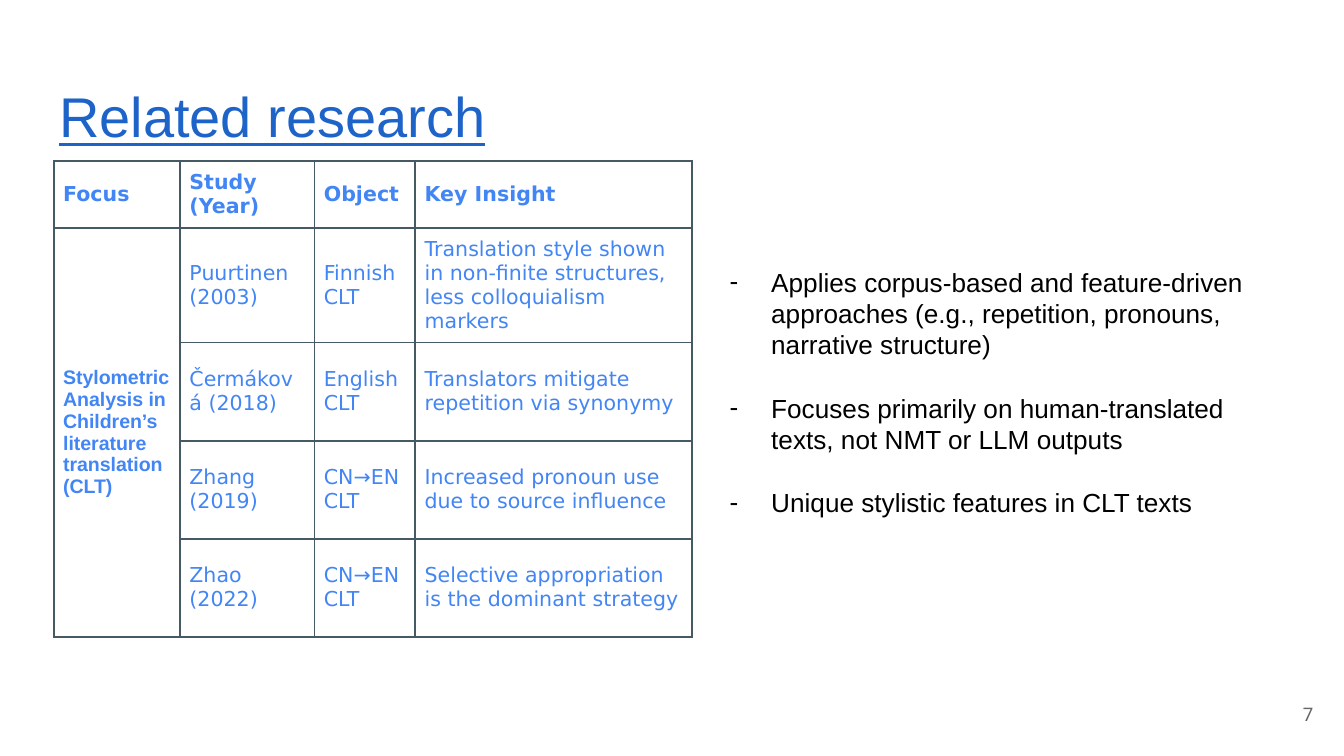
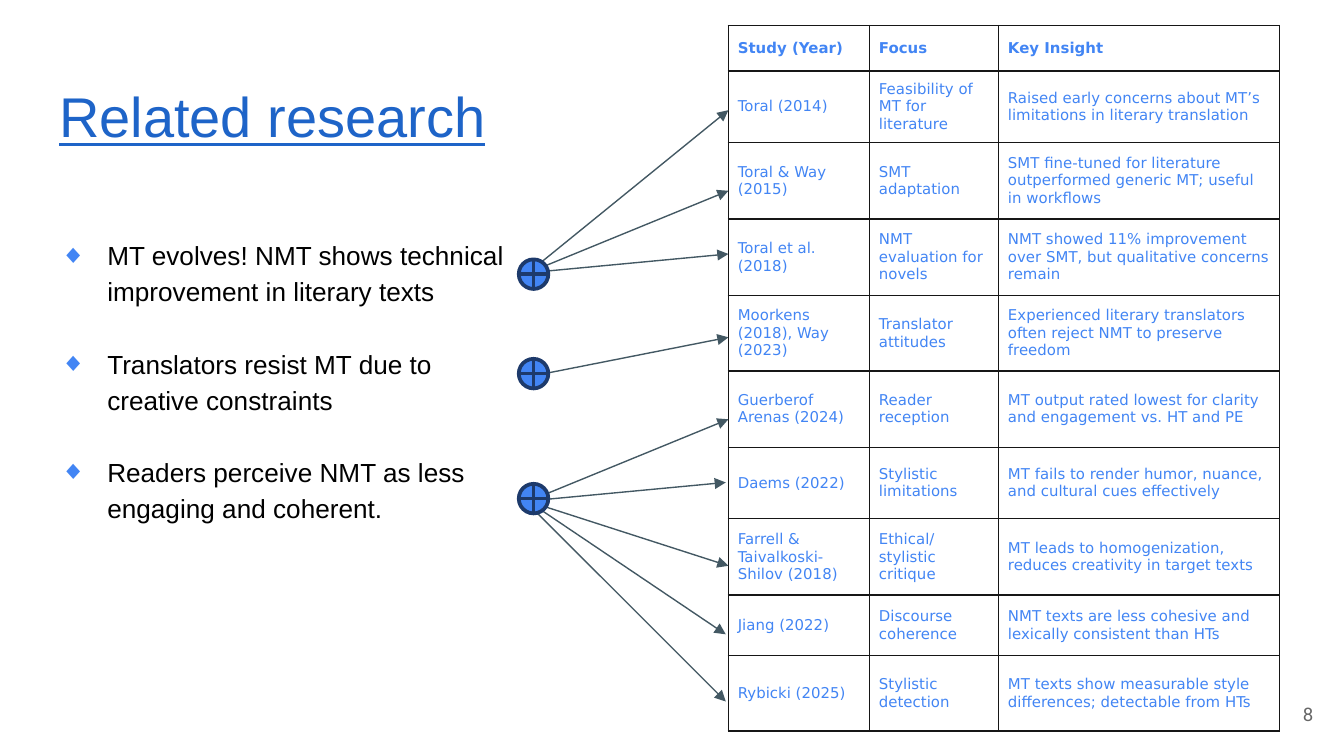
from dataclasses import dataclass

import pptx
import pptx.dml.color
import pptx.enum.shapes
import pptx.enum.text
import pptx.oxml
import pptx.oxml.ns
import pptx.util
from pptx.util import Inches

COLORS = {
    "title": "1E64C8", "accent": "4285F4", "text": "000000", "page": "666666",
    "grid": "455A64", "dark_grid": "161616", "arrow": "435863", "hub_line": "1D3A6B",
}
BODY, TABLE, PAGE = "Arial", "DejaVu Sans", "Roboto"
ALIGN = pptx.enum.text.PP_ALIGN
ANCHOR = pptx.enum.text.MSO_ANCHOR
HUB_LEFT, HUB_SIZE = 3.86, 0.22


@dataclass
class Grid:
    left: float
    top: float
    cols: list[float]
    rows: list[float]
    size: float
    border: str
    cells: list[list[str]]


@dataclass
class Bullets:
    box: tuple[float, float, float, float]
    char: str
    char_color: str
    margin: float
    hanging: float
    gap: float
    spacing: float
    inset_y: float
    items: list[str]


@dataclass
class Hub:
    top: float
    start_y: float
    arrows: list[tuple[float, float, float]]  # start x, end x, end y


STYLOMETRY = Grid(0.4, 1.2, [0.94, 1, 0.75, 2.06], [0.47] + [0.73] * 4, 11, "grid", [
    ["Focus", "Study (Year)", "Object", "Key Insight"],
    ["Stylometric Analysis in Children’s literature translation (CLT)",
     "Puurtinen (2003)", "Finnish CLT",
     "Translation style shown in non-finite structures, less colloquialism markers"],
    ["", "Čermáková (2018)", "English CLT", "Translators mitigate repetition via synonymy"],
    ["", "Zhang (2019)", "CN→EN  CLT", "Increased pronoun use due to source influence"],
    ["", "Zhao (2022)", "CN→EN CLT", "Selective appropriation is the dominant strategy"],
])

MT_STUDIES = Grid(
    5.42, 0.19, [1.05, 0.96, 2.09],
    [0.34, 0.53, 0.57, 0.57, 0.56, 0.57, 0.53, 0.57, 0.45, 0.56], 8, "dark_grid", [
        ["Study (Year)", "Focus", "Key Insight"],
        ["Toral (2014)", "Feasibility of MT for literature",
         "Raised early concerns about MT’s limitations in literary translation"],
        ["Toral & Way (2015)", "SMT adaptation",
         "SMT fine-tuned for literature outperformed generic MT; useful in workflows"],
        ["Toral et al. (2018)", "NMT evaluation for novels",
         "NMT showed 11% improvement over SMT, but qualitative concerns remain"],
        ["Moorkens (2018), Way (2023)", "Translator attitudes",
         "Experienced literary translators often reject NMT to preserve freedom"],
        ["Guerberof Arenas (2024)", "Reader reception",
         "MT output rated lowest for clarity and engagement vs. HT and PE"],
        ["Daems (2022)", "Stylistic limitations",
         "MT fails to render humor, nuance, and cultural cues effectively"],
        ["Farrell & Taivalkoski-Shilov (2018)", "Ethical/stylistic critique",
         "MT leads to homogenization, reduces creativity in target texts"],
        ["Jiang (2022)", "Discourse coherence",
         "NMT texts are less cohesive and lexically consistent than HTs"],
        ["Rybicki (2025)", "Stylistic detection",
         "MT texts show measurable style differences; detectable from HTs"],
    ])

FEATURES = Bullets((5.33, 1.93, 4.28, 1.99), "-", "text", 0.31, 0.31, 17, 1, 0.05, [
    "Applies corpus-based and feature-driven approaches "
    "(e.g., repetition, pronouns, narrative structure)",
    "Focuses primarily on human-translated texts, not NMT or LLM outputs",
    "Unique stylistic features in CLT texts",
])

FINDINGS = Bullets((0.2, 1.65, 3.7, 2.56), "◆", "accent", 0.5, 0.35, 19.3, 1.15, 0.1, [
    "MT evolves! NMT shows technical improvement in literary texts",
    "Translators resist MT due to creative constraints",
    "Readers perceive NMT as less engaging and coherent.",
])

HUBS = [
    Hub(1.93, 2.03, [(3.93, 5.42, 0.82), (3.93, 5.42, 1.42), (3.93, 5.42, 1.89)]),
    Hub(2.67, 2.81, [(3.9, 5.42, 2.51)]),
    Hub(3.6, 3.73, [(3.93, 5.42, 3.12), (3.91, 5.4, 3.59), (3.93, 5.42, 4.21),
                    (3.93, 5.4, 4.72), (3.91, 5.4, 5.22)]),
]


def rgb(name: str) -> pptx.dml.color.RGBColor:
    return pptx.dml.color.RGBColor.from_string(COLORS[name])


def put_text(p, text: str, *, size: float, color: str, font: str = BODY,
             bold: bool = False, underline: bool = False, align=ALIGN.LEFT) -> None:
    p.alignment = align
    r = p.add_run()
    r.text = text
    f = r.font
    f.name, f.size, f.bold, f.underline = font, pptx.util.Pt(size), bold, underline
    f.color.rgb = rgb(color)


def set_frame(tf, anchor, x: float = 0.1, y: float = 0.1) -> None:
    tf.word_wrap = True
    tf.auto_size = pptx.enum.text.MSO_AUTO_SIZE.NONE
    tf.vertical_anchor = anchor
    tf.margin_left = tf.margin_right = Inches(x)
    tf.margin_top = tf.margin_bottom = Inches(y)


def add_text_frame(s, box: tuple[float, float, float, float], anchor, y: float = 0.1):
    tf = s.shapes.add_textbox(*map(Inches, box)).text_frame
    set_frame(tf, anchor, y=y)
    return tf


def add_slide(prs, number: int):
    """Add a slide with the shared title and page number."""
    s = prs.slides.add_slide(prs.slide_layouts[5])
    title = s.shapes.title
    title.left, title.top, title.width, title.height = map(Inches, (0.34, 0.51, 9.32, 0.63))
    set_frame(title.text_frame, ANCHOR.TOP)
    put_text(title.text_frame.paragraphs[0], "Related research",
             size=30, color="title", underline=True)
    tf = add_text_frame(s, (9.27, 5.1, 0.6, 0.43), ANCHOR.MIDDLE)
    put_text(tf.paragraphs[0], str(number), size=10, color="page", font=PAGE,
             align=ALIGN.RIGHT)
    return s


def set_borders(cell, color: str) -> None:
    tcPr = cell._tc.get_or_add_tcPr()
    for side in ("lnL", "lnR", "lnT", "lnB"):
        tcPr.append(pptx.oxml.parse_xml(
            f'<a:{side} {pptx.oxml.ns.nsdecls("a")} w="12700"><a:solidFill>'
            f'<a:srgbClr val="{COLORS[color]}"/></a:solidFill></a:{side}>'))


def add_grid(s, grid: Grid, justified_col: int | None = None):
    tbl = s.shapes.add_table(
        len(grid.rows), len(grid.cols), Inches(grid.left), Inches(grid.top),
        Inches(sum(grid.cols)), Inches(sum(grid.rows))).table
    tbl.first_row = tbl.horz_banding = False
    for col, width in zip(tbl.columns, grid.cols):
        col.width = Inches(width)
    for i, (row, height) in enumerate(zip(tbl.rows, grid.rows)):
        row.height = Inches(height)
        for j, (cell, text) in enumerate(zip(row.cells, grid.cells[i])):
            set_borders(cell, grid.border)
            cell.fill.background()
            cell.vertical_anchor = ANCHOR.MIDDLE
            cell.margin_left = cell.margin_right = Inches(0.07)
            cell.margin_top = cell.margin_bottom = Inches(0.07)
            if text:
                justify = i > 0 and j == justified_col
                put_text(cell.text_frame.paragraphs[0], text, size=grid.size,
                         color="accent", font=TABLE, bold=i == 0,
                         align=ALIGN.JUSTIFY if justify else ALIGN.LEFT)
    return tbl


def add_bullets(s, bullets: Bullets) -> None:
    tf = add_text_frame(s, bullets.box, ANCHOR.TOP, bullets.inset_y)
    ns = pptx.oxml.ns.nsdecls("a")
    for i, item in enumerate(bullets.items):
        p = tf.add_paragraph() if i else tf.paragraphs[0]
        p.line_spacing = bullets.spacing
        p.space_before = pptx.util.Pt(bullets.gap if i else 0)
        pPr = p._p.get_or_add_pPr()
        pPr.set("marL", str(Inches(bullets.margin)))
        pPr.set("indent", str(-Inches(bullets.hanging)))
        for xml in (
            f'<a:buClr {ns}><a:srgbClr val="{COLORS[bullets.char_color]}"/></a:buClr>',
            f'<a:buFont {ns} typeface="{BODY}"/>',
            f'<a:buChar {ns} char="{bullets.char}"/>',
        ):
            pPr.append(pptx.oxml.parse_xml(xml))
        put_text(p, item, size=14, color="text")


def add_arrow(s, x1: float, y1: float, x2: float, y2: float) -> None:
    c = s.shapes.add_connector(pptx.enum.shapes.MSO_CONNECTOR.STRAIGHT,
                               *map(Inches, (x1, y1, x2, y2)))
    c.line.color.rgb = rgb("arrow")
    c.line.width = pptx.util.Pt(0.75)
    ns = pptx.oxml.ns.nsdecls("a")
    c.line._get_or_add_ln().append(pptx.oxml.parse_xml(f'<a:tailEnd {ns} type="triangle"/>'))
    c._element.spPr.append(pptx.oxml.parse_xml(f"<a:effectLst {ns}/>"))


def add_hub(s, hub: Hub) -> None:
    sp = s.shapes.add_shape(
        pptx.enum.shapes.MSO_SHAPE.FLOWCHART_OR, Inches(HUB_LEFT), Inches(hub.top),
        Inches(HUB_SIZE), Inches(HUB_SIZE))
    sp.shadow.inherit = False
    sp.fill.solid()
    sp.fill.fore_color.rgb = rgb("accent")
    sp.line.color.rgb = rgb("hub_line")
    sp.line.width = pptx.util.Pt(2)


def main() -> None:
    prs = pptx.Presentation()
    prs.slide_width, prs.slide_height = Inches(10), Inches(10 * 9 / 16)

    s = add_slide(prs, 7)
    tbl = add_grid(s, STYLOMETRY, justified_col=1)
    focus = tbl.cell(1, 0)
    focus.merge(tbl.cell(4, 0))
    font = focus.text_frame.paragraphs[0].runs[0].font
    font.name, font.size, font.bold = BODY, pptx.util.Pt(10.5), True
    add_bullets(s, FEATURES)

    s = add_slide(prs, 8)
    add_grid(s, MT_STUDIES)
    add_bullets(s, FINDINGS)
    for hub in HUBS:
        for start_x, end_x, end_y in hub.arrows:
            add_arrow(s, start_x, hub.start_y, end_x, end_y)
    for hub in HUBS:
        add_hub(s, hub)

    prs.save("out.pptx")


if __name__ == "__main__":
    main()
